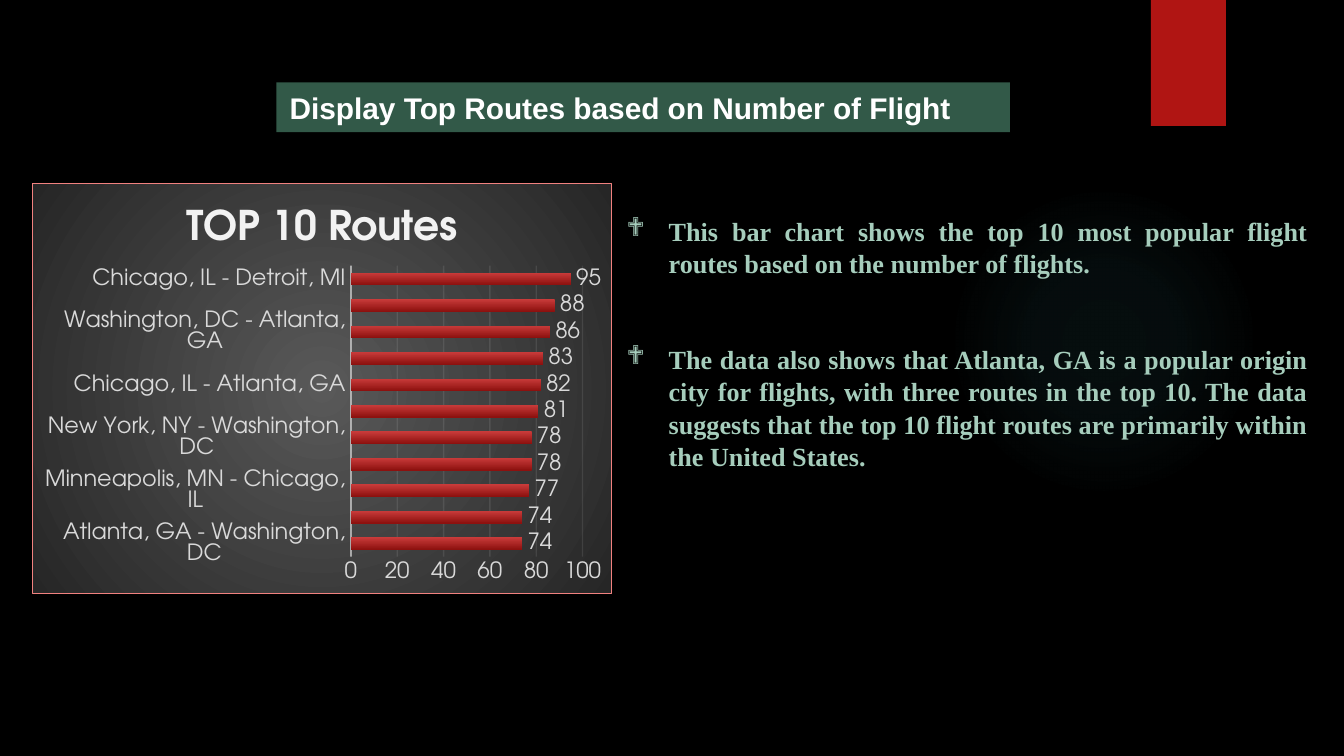
from pptx import Presentation
from pptx.chart.data import CategoryChartData
from pptx.dml.color import RGBColor
from pptx.enum.chart import XL_CHART_TYPE, XL_LABEL_POSITION, XL_TICK_MARK
from pptx.enum.shapes import MSO_SHAPE
from pptx.enum.text import MSO_ANCHOR, MSO_AUTO_SIZE, PP_ALIGN
from pptx.oxml import parse_xml
from pptx.oxml.ns import nsdecls, qn
from pptx.util import Pt

BAR = XL_CHART_TYPE.BAR_CLUSTERED
OUTSIDE = XL_LABEL_POSITION.OUTSIDE_END
NO_TICK = XL_TICK_MARK.NONE
ELLIPSE, RECTANGLE = MSO_SHAPE.OVAL, MSO_SHAPE.RECTANGLE
TOP, MIDDLE = MSO_ANCHOR.TOP, MSO_ANCHOR.MIDDLE
FIXED = MSO_AUTO_SIZE.NONE
LEFT, JUSTIFY = PP_ALIGN.LEFT, PP_ALIGN.JUSTIFY

BLACK = RGBColor(0x00, 0x00, 0x00)
WHITE = RGBColor(0xFF, 0xFF, 0xFF)
RED = RGBColor(0xB0, 0x15, 0x13)
GREEN = RGBColor(0x32, 0x59, 0x48)
MINT = RGBColor(0xA6, 0xCD, 0xBC)
TEAL = RGBColor(0x50, 0xB9, 0xC1)
PINK = RGBColor(0xF1, 0x81, 0x7F)
PALE = RGBColor(0xF2, 0xF2, 0xF2)
LIGHT_GREY = RGBColor(0xD9, 0xD9, 0xD9)
MID_GREY = RGBColor(0x59, 0x59, 0x59)
DARK_GREY = RGBColor(0x26, 0x26, 0x26)
BAR_TOP = RGBColor(0xC9, 0x3B, 0x3A)
BAR_BOTTOM = RGBColor(0x8D, 0x11, 0x0F)

CHART_FONT = "TeX Gyre Adventor"
RADIAL = ('<a:path path="circle"><a:fillToRect l="50000" t="50000" '
          'r="50000" b="50000"/></a:path>')
VERTICAL = '<a:lin ang="5400000" scaled="0"/>'

ROUTES = [
    ("Atlanta, GA - Washington, DC", 74),
    ("Atlanta, GA - Chicago, IL", 74),
    ("Minneapolis, MN - Chicago, IL", 77),
    ("Atlanta, GA - Houston, TX", 78),
    ("New York, NY - Washington, DC", 78),
    ("Detroit, MI - Chicago, IL", 81),
    ("Chicago, IL - Atlanta, GA", 82),
    ("Charlotte, NC - Atlanta, GA", 83),
    ("Washington, DC - Atlanta, GA", 86),
    ("Washington, DC - New York, NY", 88),
    ("Chicago, IL - Detroit, MI", 95),
]
FINDINGS = [
    "This bar chart shows the top 10 most popular flight routes based on the "
    "number of flights.",
    "The data also shows that Atlanta, GA is a popular origin city for flights, "
    "with three routes in the top 10. The data suggests that the top 10 flight "
    "routes are primarily within the United States.",
]


def set_gradient(properties, stops, direction):
    """Replace the empty fill of an spPr by (position, colour, opacity) stops."""
    stop_xml = "".join(
        f'<a:gs pos="{position * 1000}"><a:srgbClr val="{color}">'
        f'<a:alpha val="{opacity * 1000}"/></a:srgbClr></a:gs>'
        for position, color, opacity in stops)
    gradient = parse_xml(f'<a:gradFill {nsdecls("a")} rotWithShape="1">'
                         f'<a:gsLst>{stop_xml}</a:gsLst>{direction}</a:gradFill>')
    properties.replace(properties.find(qn("a:noFill")), gradient)


def set_line_opacity(line, percent):
    color = line._get_or_add_ln().find(".//" + qn("a:srgbClr"))
    color.append(parse_xml(f'<a:alpha {nsdecls("a")} val="{percent * 1000}"/>'))


def add_shadow(shape, opacity, blur, distance, angle):
    shape.shadow.inherit = False
    effects = shape._element.spPr.find(qn("a:effectLst"))
    effects.append(parse_xml(
        f'<a:outerShdw {nsdecls("a")} blurRad="{Pt(blur)}" dist="{Pt(distance)}" '
        f'dir="{angle * 60000}" rotWithShape="0"><a:srgbClr val="{BLACK}">'
        f'<a:alpha val="{opacity * 1000}"/></a:srgbClr></a:outerShdw>'))


def style_font(font, name, size, color, bold=False):
    font.name, font.size, font.bold = name, Pt(size), bold
    font.color.rgb = color


class SlideBuilder:
    def __init__(self, slide):
        self.slide = slide
        slide.background.fill.solid()
        slide.background.fill.fore_color.rgb = BLACK

    def shape(self, kind, box):
        shape = self.slide.shapes.add_shape(kind, *map(Pt, box))
        shape.shadow.inherit = False
        shape.line.fill.background()
        return shape

    def glow(self, box):
        shape = self.shape(ELLIPSE, box)
        shape.fill.background()
        set_gradient(shape._element.spPr,
                     [(0, TEAL, 7), (36, TEAL, 6), (69, TEAL, 0)], RADIAL)

    def ribbon(self, box):
        shape = self.shape(RECTANGLE, box)
        shape.fill.solid()
        shape.fill.fore_color.rgb = RED
        add_shadow(shape, 45, 3, 2, 90)

    def place(self, placeholder, box, anchor):
        """Move a placeholder to its box and in front of what is drawn so far."""
        placeholder.left, placeholder.top, placeholder.width, placeholder.height = map(Pt, box)
        self.slide.shapes._spTree.append(placeholder._element)
        frame = placeholder.text_frame
        frame.auto_size, frame.vertical_anchor, frame.word_wrap = FIXED, anchor, True
        return frame

    def title(self, text, box):
        title = self.slide.shapes.title
        frame = self.place(title, box, MIDDLE)
        title.fill.solid()
        title.fill.fore_color.rgb = GREEN
        add_shadow(title, 40, 4, 3, 180)
        frame.text = text
        paragraph = frame.paragraphs[0]
        paragraph.alignment = LEFT
        style_font(paragraph.runs[0].font, "Arial", 16, WHITE, True)

    def bullets(self, items, box):
        frame = self.place(self.slide.placeholders[1], box, TOP)
        frame.text = "\n".join(items)
        for index, paragraph in enumerate(frame.paragraphs):
            paragraph.alignment = JUSTIFY
            paragraph.line_spacing = 1.04
            paragraph.space_before = Pt(33.5 if index else 0)
            properties = paragraph._p.get_or_add_pPr()
            properties.set("marL", str(Pt(22.5)))
            properties.set("indent", str(Pt(-22.5)))
            properties.append(parse_xml(f'<a:buFont {nsdecls("a")} typeface="Wingdings"/>'))
            properties.append(parse_xml(f'<a:buChar {nsdecls("a")} char="❖"/>'))
            style_font(paragraph.runs[0].font, "Times New Roman", 14, MINT, True)

    def bar_chart(self, title, rows, box):
        data = CategoryChartData()
        data.categories = [route for route, _ in rows]
        data.add_series("Series 1", [flights for _, flights in rows])
        chart = self.slide.shapes.add_chart(BAR, *map(Pt, box), data).chart
        style_font(chart.font, CHART_FONT, 10, WHITE)
        chart.has_legend = False
        chart.chart_title.text_frame.text = title
        title_run = chart.chart_title.text_frame.paragraphs[0].runs[0]
        style_font(title_run.font, CHART_FONT, 22, PALE, True)
        self.style_axes(chart)
        self.style_bars(chart.plots[0])
        self.frame_chart(chart)

    def style_axes(self, chart):
        for axis in (chart.category_axis, chart.value_axis):
            axis.major_tick_mark = axis.minor_tick_mark = NO_TICK
            style_font(axis.tick_labels.font, CHART_FONT, 12, LIGHT_GREY)
        values = chart.value_axis
        values.minimum_scale, values.maximum_scale, values.major_unit = 0, 100, 20
        values.format.line.fill.background()
        chart.category_axis.has_major_gridlines = False
        for line, width, opacity in ((chart.category_axis.format.line, 1, 54),
                                     (values.major_gridlines.format.line, 0.75, 10)):
            line.width = Pt(width)
            line.color.rgb = PALE
            set_line_opacity(line, opacity)

    def style_bars(self, plot):
        plot.gap_width, plot.overlap, plot.vary_by_categories = 115, -20, False
        series = plot.series[0]
        series.format.fill.background()
        set_gradient(series._element.spPr,
                     [(0, BAR_TOP, 100), (100, BAR_BOTTOM, 100)], VERTICAL)
        labels = series.data_labels
        labels.show_value, labels.position = True, OUTSIDE
        style_font(labels.font, CHART_FONT, 12, LIGHT_GREY)

    def frame_chart(self, chart):
        """Give the chart its background, border and plot position."""
        chart_element = chart._chartSpace.chart
        properties = parse_xml(
            f'<c:spPr {nsdecls("c", "a")}><a:noFill/><a:ln w="{Pt(0.75)}"><a:solidFill>'
            f'<a:srgbClr val="{PINK}"/></a:solidFill></a:ln></c:spPr>')
        set_gradient(properties, [(0, MID_GREY, 100), (100, DARK_GREY, 100)], RADIAL)
        chart_element.addnext(properties)
        plot_area = chart_element.plotArea
        for layout in plot_area.findall(qn("c:layout")):
            plot_area.remove(layout)
        sizes = "".join(f'<c:{name} val="{value}"/>' for name, value in
                        (("x", 0.55), ("y", 0.2), ("w", 0.4), ("h", 0.71)))
        plot_area.insert(0, parse_xml(
            f'<c:layout {nsdecls("c")}><c:manualLayout><c:layoutTarget val="inner"/>'
            f'<c:xMode val="edge"/><c:yMode val="edge"/>{sizes}'
            f'</c:manualLayout></c:layout>'))


def main():
    presentation = Presentation()
    presentation.slide_width, presentation.slide_height = Pt(720), Pt(405)
    builder = SlideBuilder(presentation.slides.add_slide(presentation.slide_layouts[1]))
    builder.glow((508.3, 99.4, 166.3, 166.3))
    builder.ribbon((616.5, 0, 40.3, 67.5))
    builder.bar_chart("TOP 10 Routes", ROUTES, (17, 98, 311, 220.5))
    builder.title("Display Top Routes based on Number of Flight", (148, 44.2, 393, 26.6))
    builder.bullets(FINDINGS, (328.5, 111, 379.4, 143.3))
    presentation.save("out.pptx")


if __name__ == "__main__":
    main()
